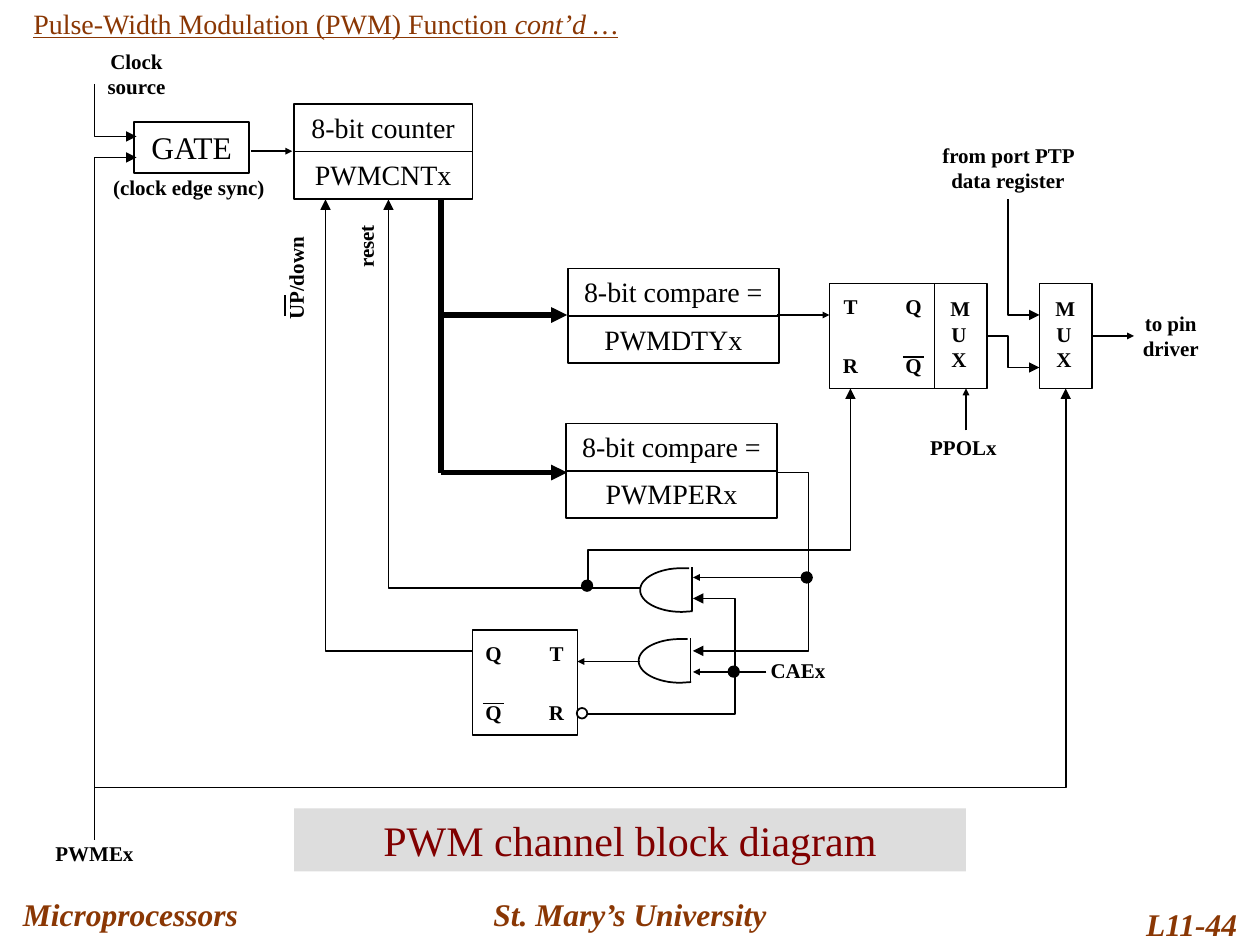
from dataclasses import dataclass
from math import cos, pi, sin
from typing import NamedTuple, Optional

from lxml.etree import SubElement
from pptx import Presentation
from pptx.dml.color import RGBColor
from pptx.enum.shapes import MSO_CONNECTOR, MSO_SHAPE
from pptx.enum.text import MSO_ANCHOR, PP_ALIGN
from pptx.oxml.ns import qn
from pptx.util import Pt


@dataclass(frozen=True)
class Theme:
    font: str = "Times New Roman"
    ink: str = "000000"
    brown: str = "8A3704"
    maroon: str = "800000"
    grey: str = "DDDDDD"
    small: int = 12
    body: int = 16
    large: int = 18
    banner: int = 24
    thin: float = 1
    thick: float = 3


class Box(NamedTuple):
    x: float
    y: float
    w: float
    h: float


class Run(NamedTuple):
    text: str
    size: int
    color: str
    bold: bool = False
    slant: bool = False
    under: bool = False


class Label(NamedTuple):
    text: str
    box: Box
    turn: int = 0


class Stack(NamedTuple):
    """Two register cells, one above the other."""
    x: float
    y: float
    w: float
    top: str
    low: str


class Latch(NamedTuple):
    x: float
    y: float
    left: tuple
    right: tuple


class Wire(NamedTuple):
    start: tuple
    end: tuple
    arrow: Optional[str] = None
    width: float = Theme.thin


T = Theme()
ROW = 27
SIDE = 60
MUX_W = 30

STACKS = [
    Stack(168, 59.6, 102, "8-bit counter", "PWMCNTx"),
    Stack(324.5, 153.5, 120.5, "8-bit compare =", "PWMDTYx"),
    Stack(323.5, 242, 120.5, "8-bit compare =", "PWMPERx"),
]
LATCHES = [
    Latch(474, 162, ("T", "R"), ("Q", "Q")),
    Latch(270, 360, ("Q", "Q"), ("T", "R")),
]
LABELS = [
    Label("(clock edge sync)", Box(54, 96, 108, 21.6)),
    Label("reset", Box(188, 130, 42, 21.6), 270),
    Label("UP/down", Box(136, 148.3, 66, 21.6), 270),
    Label("Clock source", Box(54, 24, 48, 36)),
    Label("from port PTP data register", Box(528, 78, 96, 36)),
    Label("to pin driver", Box(642, 174, 54, 36)),
    Label("PPOLx", Box(523.5, 244.8, 54, 21.6)),
    Label("CAEx", Box(432, 372.2, 48, 21.6)),
    Label("PWMEx", Box(24, 476.6, 60, 21.6)),
]
WIRES = [
    Wire((143.3, 86.4), (167, 86.4), "sm"),
    Wire((252, 114), (252, 270), None, T.thick),
    Wire((252, 180), (324, 180), "med", T.thick),
    Wire((252, 270), (324, 270), "med", T.thick),
    Wire((366, 378), (330, 378), "sm"),
    Wire((444, 180), (474, 180), "sm"),
    Wire((462, 330), (396, 330), "sm"),
    Wire((438, 384), (396, 384), "sm"),
    Wire((552, 246), (552, 222), "sm"),
    Wire((162.7, 180.7), (162.7, 168.5)),
]
PATHS = [
    [(444, 270), (462, 270), (462, 372), (396, 372)],
    [(336, 408), (420, 408), (420, 342), (396, 342)],
    [(366, 336), (222, 336), (222, 114)],
    [(336, 336), (336, 314.5), (486, 314.5), (486, 222)],
    [(270, 372), (186, 372), (186, 114)],
    [(54, 48), (54, 78), (78, 78)],
    [(54, 480), (54, 90), (78, 90)],
    [(54, 450), (609, 450), (609, 222)],
    [(564, 192), (576, 192), (576, 210), (594, 210)],
    [(576, 114), (576, 180), (594, 180)],
]
DOTS = [(335.5, 334.7), (419.3, 383.8), (461, 330)]
BUBBLE = (332.6, 407.6)
ANDS = [(365.8, 324.7), (365, 365.2)]


def stroke(item, width: float = T.thin, arrow: Optional[str] = None) -> None:
    item.line.color.rgb = RGBColor.from_string(T.ink)
    item.line.width = Pt(width)
    if arrow:
        SubElement(item.element.spPr.get_or_add_ln(), qn("a:tailEnd"),
                   type="triangle", w=arrow, len=arrow)


def write(shape, runs: list, align=PP_ALIGN.CENTER, anchor=MSO_ANCHOR.TOP) -> None:
    frame = shape.text_frame
    frame.word_wrap = True
    frame.vertical_anchor = anchor
    para = frame.paragraphs[0]
    para.alignment = align
    for item in runs:
        run = para.add_run()
        run.text = item.text
        font = run.font
        font.name, font.size = T.font, Pt(item.size)
        font.bold, font.italic, font.underline = item.bold, item.slant, item.under
        font.color.rgb = RGBColor.from_string(item.color)


def solid(slide, box: Box, fill: Optional[str] = None, line: bool = True,
          kind=MSO_SHAPE.RECTANGLE):
    shape = slide.shapes.add_shape(kind, *map(Pt, box))
    shape.shadow.inherit = False
    if fill:
        shape.fill.solid()
        shape.fill.fore_color.rgb = RGBColor.from_string(fill)
    else:
        shape.fill.background()
    if line:
        stroke(shape)
    else:
        shape.line.fill.background()
    return shape


def cell(slide, box: Box, text: str, size: int = T.body) -> None:
    write(solid(slide, box), [Run(text, size, T.ink)])


def words(slide, box: Box, runs: list, **style):
    shape = slide.shapes.add_textbox(*map(Pt, box))
    write(shape, runs, **style)
    return shape


def label(slide, item: Label) -> None:
    shape = words(slide, item.box, [Run(item.text, T.small, T.ink, True)])
    shape.rotation = item.turn


def wire(slide, item: Wire):
    line = slide.shapes.add_connector(
        MSO_CONNECTOR.STRAIGHT, *map(Pt, item.start + item.end))
    stroke(line, item.width, item.arrow)
    SubElement(line.element.spPr, qn("a:effectLst"))
    return line


def trace(slide, points: list, arrow: Optional[str] = None) -> None:
    """Draw an open outline through the points."""
    spots = [(Pt(x), Pt(y)) for x, y in points]
    build = slide.shapes.build_freeform(*spots[0])
    build.add_line_segments(spots[1:], close=False)
    shape = build.convert_to_shape()
    shape.shadow.inherit = False
    shape.fill.background()
    stroke(shape, arrow=arrow)


def dot(slide, spot: tuple, fill: Optional[str] = None) -> None:
    solid(slide, Box(spot[0] - 3, spot[1] - 3, 6, 6), fill, kind=MSO_SHAPE.OVAL)


def latch(slide, item: Latch) -> None:
    solid(slide, Box(item.x, item.y, SIDE, SIDE))
    for dx, names in ((0, item.left), (36, item.right)):
        for dy, name in zip((2.2, 36), names):
            label(slide, Label(name, Box(item.x + dx, item.y + dy, 24, 21.6)))
        if names[1] == "Q":
            x, y = item.x + dx + 6, item.y + 42
            wire(slide, Wire((x, y), (x + 12, y)))


def mux(slide, x: float, y: float):
    label(slide, Label("MUX", Box(x + 2, y + 3.6, 24, 50.4)))
    return solid(slide, Box(x, y, MUX_W, SIDE))


def gate(slide, x: float, y: float) -> None:
    """Draw an AND gate that opens to the right."""
    rx, ry, steps = 23.8, 12.5, 32
    arc = [(x + rx - rx * sin(pi * i / steps), y + ry - ry * cos(pi * i / steps))
           for i in range(steps + 1)]
    trace(slide, [(x + 28, y)] + arc + [(x + 30, y + 2 * ry - 0.4)])
    wire(slide, Wire((x + 29.5, y - 0.5), (x + 29.5, y + 24.5)))


def main() -> None:
    deck = Presentation()
    deck.slide_width, deck.slide_height = Pt(720), Pt(540)
    slide = deck.slides.add_slide(deck.slide_layouts[6])

    for text, box, align in (
            ("Microprocessors", Box(6, 504, 174, 36), PP_ALIGN.LEFT),
            ("St. Mary’s University", Box(246, 504, 228, 36), PP_ALIGN.CENTER),
            ("L11-44", Box(624, 510, 90, 36), PP_ALIGN.RIGHT)):
        words(slide, box, [Run(text, T.large, T.brown, True, True)],
              align=align, anchor=MSO_ANCHOR.MIDDLE)
    words(slide, Box(12, 0, 642, 26.6), [
        Run("Pulse-Width Modulation (PWM) Function ", T.body, T.brown, under=True),
        Run("cont’d …", T.body, T.brown, slant=True, under=True),
    ], align=PP_ALIGN.LEFT)

    cell(slide, Box(76.5, 69.8, 66, 29), "GATE", T.large)
    for item in STACKS:
        for i, text in enumerate((item.top, item.low)):
            cell(slide, Box(item.x, item.y + i * ROW, item.w, ROW), text)
    for item in LATCHES:
        latch(slide, item)
    mux(slide, 534, 162)
    last = mux(slide, 594, 162)
    for spot in ANDS:
        gate(slide, *spot)
    for item in LABELS:
        label(slide, item)
    for item in WIRES:
        wire(slide, item)
    wire(slide, Wire((624, 192), (648, 192), "sm")).begin_connect(last, 3)
    for points in PATHS:
        trace(slide, points, "med")
    dot(slide, BUBBLE)
    for spot in DOTS:
        dot(slide, spot, T.ink)
    write(solid(slide, Box(168, 462, 384, 36), T.grey, line=False),
          [Run("PWM channel block diagram", T.banner, T.maroon)])
    deck.save("out.pptx")


if __name__ == "__main__":
    main()
